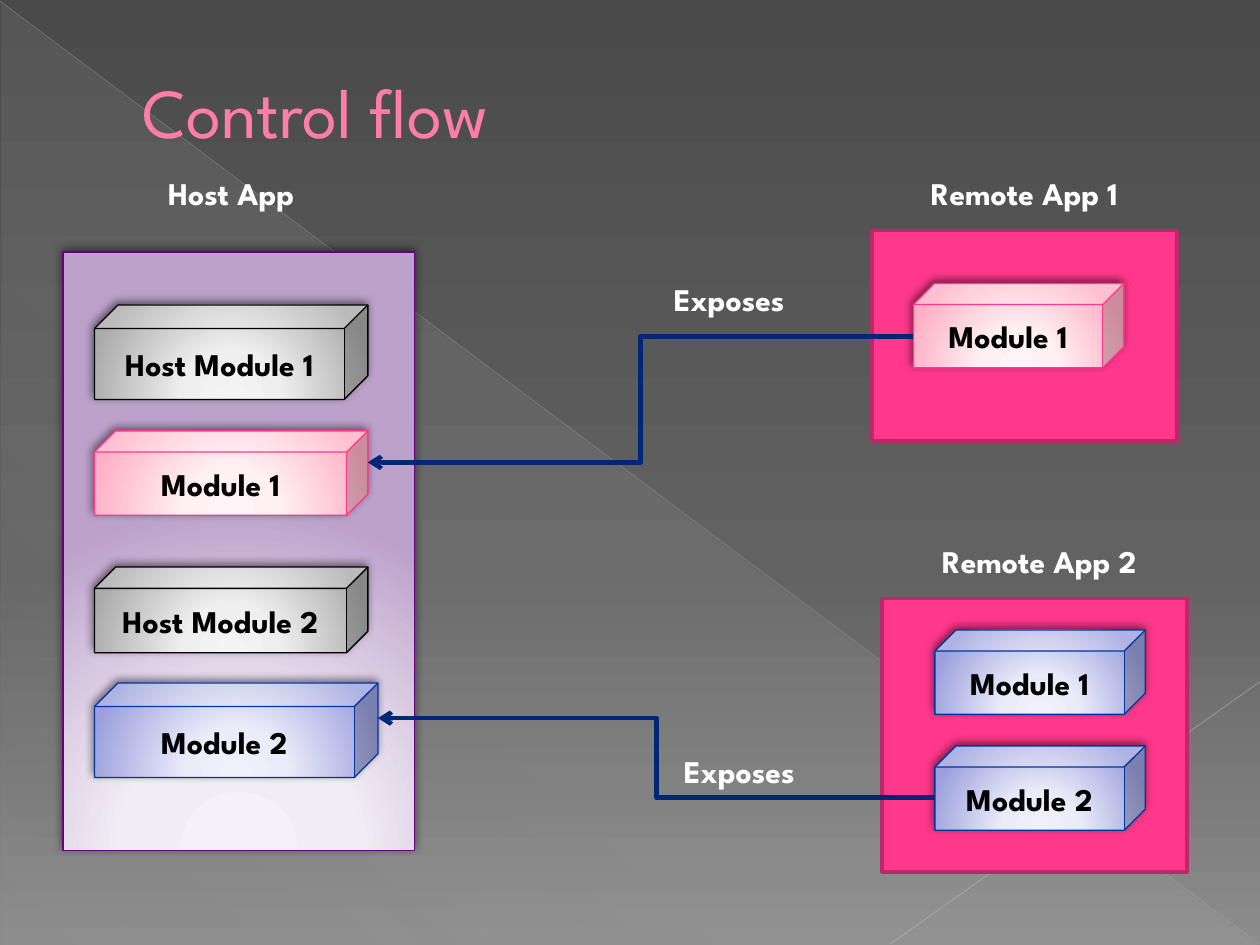
import pptx
import pptx.dml.color
import pptx.enum.shapes
import pptx.enum.text
import pptx.oxml
import pptx.oxml.ns
import pptx.util

Inches, Pt, qn = pptx.util.Inches, pptx.util.Pt, pptx.oxml.ns.qn
SHAPE = pptx.enum.shapes.MSO_SHAPE
CONNECTOR = pptx.enum.shapes.MSO_CONNECTOR
ALIGN = pptx.enum.text.PP_ALIGN
ANCHOR = pptx.enum.text.MSO_ANCHOR

# Each palette: gradient stops and line colour
PINK = [(0, "FFF4F7"), (34, "FFF0F3"), (100, "FFAFC5")], "FF388C"
BLUE = [(0, "F0F1FB"), (34, "EBECF9"), (100, "9BA0DD")], "00349E"
GREY = [(0, "F4F4F4"), (34, "EFEFEF"), (100, "ABABAB")], "000000"
PURPLE = [(0, "F6F1F8"), (34, "F2EDF5"), (100, "BCA1CA")], "68007F"
GLOW = '<a:path path="circle"><a:fillToRect l="50000" t="155000" r="50000" b="-55000"/></a:path>'


def rgb(value):
    return pptx.dml.color.RGBColor.from_string(value)


def xml(text):
    """Parse one DrawingML element, adding the namespace to its root tag."""
    tag = text[1:].split(">")[0].split()[0].rstrip("/")
    return pptx.oxml.parse_xml(text.replace(tag, f"{tag} {pptx.oxml.ns.nsdecls('a')}", 1))


def color_xml(value, alpha=100):
    return f'<a:srgbClr val="{value}"><a:alpha val="{alpha * 1000}"/></a:srgbClr>'


def linear(angle):
    return f'<a:lin ang="{angle * 60000}" scaled="0"/>'


def gradient(fill, root, stops, direction):
    """Fill with (position, colour[, opacity]) stops; root is the element holding the fill."""
    fill.background()
    gs = "".join(f'<a:gs pos="{pos * 1000}">{color_xml(*c)}</a:gs>' for pos, *c in stops)
    old = next(root.iter(qn("a:noFill")))
    old.getparent().replace(old, xml(f'<a:gradFill rotWithShape="1"><a:gsLst>{gs}</a:gsLst>{direction}</a:gradFill>'))


class Deck:
    font = "League Spartan"

    def __init__(self):
        self.prs = pptx.Presentation()
        self.prs.slide_width, self.prs.slide_height = Inches(10), Inches(7.5)
        self.s = self.prs.slides.add_slide(self.prs.slide_layouts[6])

    def background(self, stops, angle):
        gradient(self.s.background.fill, self.s.element, stops, linear(angle))

    def shape(self, kind, box):
        sp = self.s.shapes.add_shape(kind, *map(Inches, box))
        sp.shadow.inherit = False
        return sp

    def text(self, tf, text, size, color, bold, align):
        tf.word_wrap = True
        p = tf.paragraphs[0]
        p.text, p.alignment = text, align
        p.font.name, p.font.size, p.font.bold = self.font, Pt(size), bold
        p.font.color.rgb = rgb(color)
        return p

    def backdrop(self, box, stops, angle):
        sp = self.shape(SHAPE.RIGHT_TRIANGLE, box)
        sp.line.fill.background()
        gradient(sp.fill, sp.element.spPr, stops, linear(angle))

    def panel(self, box, fill, line):
        sp = self.shape(SHAPE.RECTANGLE, box)
        sp.fill.solid()
        sp.fill.fore_color.rgb = rgb(fill)
        sp.line.color.rgb, sp.line.width = rgb(line), Pt(2)

    def glowing(self, kind, box, palette):
        """Shape with a radial gradient, a thin line and a soft shadow."""
        stops, line = palette
        sp = self.shape(kind, box)
        gradient(sp.fill, sp.element.spPr, stops, GLOW)
        sp.line.color.rgb, sp.line.width = rgb(line), Pt(0.75)
        sp.element.spPr.find(qn("a:effectLst")).append(xml(
            f'<a:outerShdw blurRad="{Pt(5)}" dist="{Pt(2)}" dir="{245 * 60000}" rotWithShape="0">'
            f'{color_xml("000000", 50)}</a:outerShdw>'))
        return sp

    def module(self, text, box, palette):
        tf = self.glowing(SHAPE.CUBE, box, palette).text_frame
        tf.vertical_anchor = ANCHOR.MIDDLE
        self.text(tf, text, 18, "000000", True, ALIGN.CENTER)

    def title(self, text, box):
        tf = self.s.shapes.add_textbox(*map(Inches, box)).text_frame
        tf.vertical_anchor = ANCHOR.MIDDLE
        p = self.text(tf, text, 40, "FF7DA7", False, ALIGN.LEFT)
        pPr = p._p.get_or_add_pPr()
        pPr.set("marL", str(Inches(0.53)))
        pPr.set("indent", "0")
        p.runs[0].font._element.insert(0, xml(
            f'<a:ln w="{Pt(0.5)}"><a:solidFill>{color_xml("B12761")}</a:solidFill></a:ln>'))

    def label(self, text, left, top, width, align=ALIGN.CENTER):
        tf = self.s.shapes.add_textbox(*map(Inches, (left, top, width, 0.4))).text_frame
        tf.auto_size = pptx.enum.text.MSO_AUTO_SIZE.SHAPE_TO_FIT_TEXT
        self.text(tf, text, 18, "FFFFFF", True, align)

    def line(self, kind, start, end, color, width, opacity=100):
        c = self.s.shapes.add_connector(kind, *map(Inches, start + end))
        c.line.color.rgb, c.line.width = rgb(color), Pt(width)
        next(c._element.spPr.iter(qn("a:srgbClr"))).append(xml(f'<a:alpha val="{opacity * 1000}"/>'))
        c._element.spPr.append(xml("<a:effectLst/>"))
        return c

    def flow(self, start, end):
        c = self.line(CONNECTOR.ELBOW, start, end, "002776", 2.5)
        c.line._ln.append(xml('<a:tailEnd type="arrow"/>'))


def main():
    d = Deck()
    d.background([(0, "4A4A4A"), (60, "626262"), (100, "8C8C8C")], 90)
    d.backdrop((0.01, 0.02, 9.98, 7.48),
               [(0, "D2D2D2", 10), (70, "D2D2D2", 8), (100, "D2D2D2", 1)], 133)
    d.line(CONNECTOR.STRAIGHT, (0, 0.01), (9.99, 7.49), "BFBFBF", 0.39, 35)
    d.line(CONNECTOR.STRAIGHT, (10, 5.41), (7.07, 7.49), "C6C6C6", 0.47, 45)
    d.title("Control flow", (0.5, 0.25, 9, 1.25))

    for box in (6.92, 1.83, 2.42, 1.67), (7, 4.75, 2.42, 2.17):
        d.panel(box, "FF388C", "BD2968")
    d.glowing(SHAPE.RECTANGLE, (0.5, 2, 2.79, 4.75), PURPLE)

    d.label("Host App", 0.5, 1.33, 2.67)
    d.label("Remote App 1", 6.92, 1.33, 2.42)
    d.label("Remote App 2", 7, 4.25, 2.5)

    for text, box, palette in (
        ("Host Module 1", (0.75, 2.42, 2.17, 0.75), GREY),
        ("Module 1", (0.75, 3.42, 2.17, 0.67), PINK),
        ("Host Module 2", (0.75, 4.5, 2.17, 0.68), GREY),
        ("Module 2", (0.75, 5.42, 2.25, 0.75), BLUE),
        ("Module 1", (7.25, 2.25, 1.67, 0.67), PINK),
        ("Module 1", (7.42, 5, 1.67, 0.67), BLUE),
        ("Module 2", (7.42, 5.92, 1.67, 0.67), BLUE),
    ):
        d.module(text, box, palette)

    d.flow((7.25, 2.67), (2.92, 3.67))
    d.flow((7.42, 6.33), (3, 5.7))
    d.label("Exposes", 5.25, 2.17, 1.33, ALIGN.LEFT)
    d.label("Exposes", 5.33, 5.92, 1.33, ALIGN.LEFT)
    d.prs.save("out.pptx")


if __name__ == "__main__":
    main()
